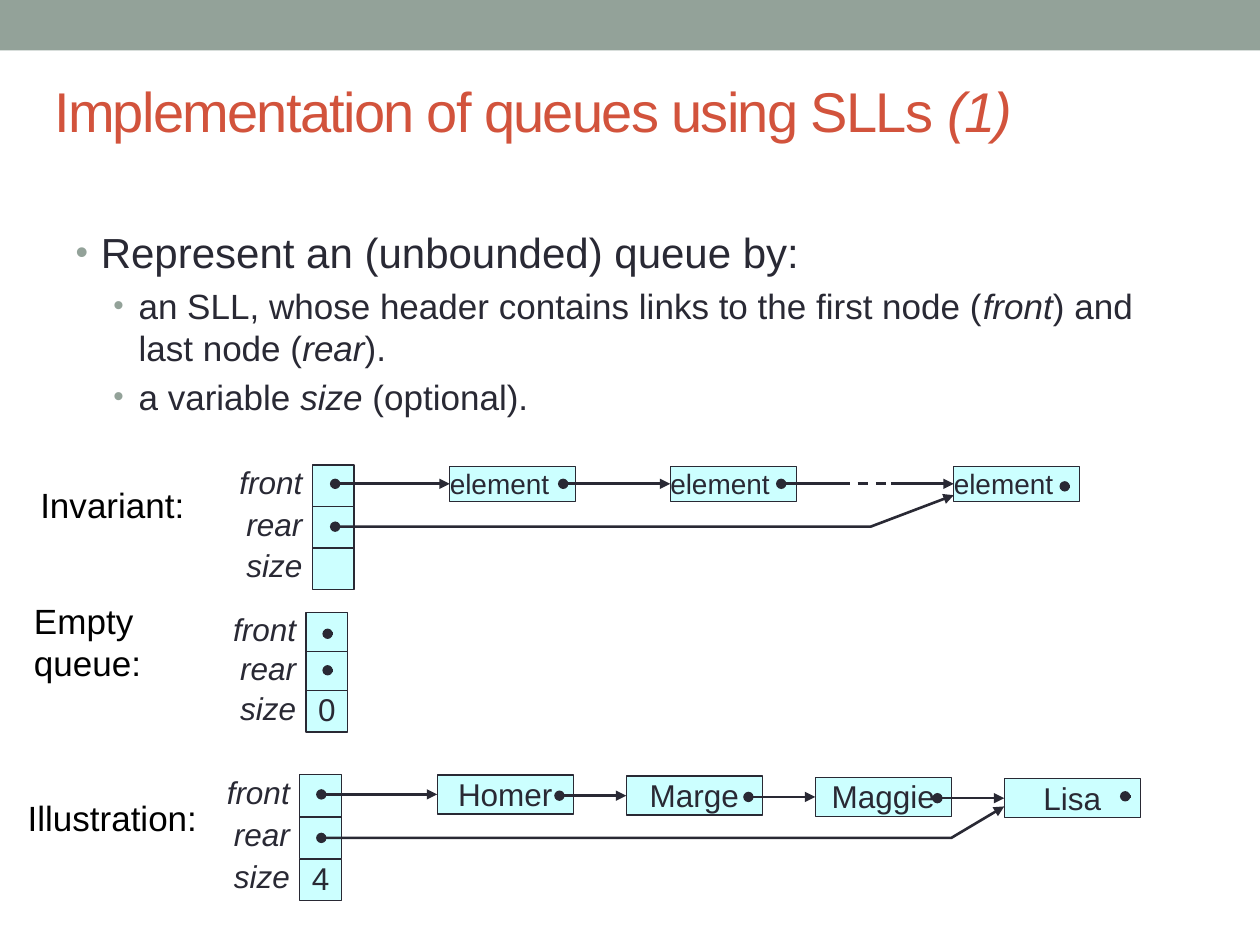
from dataclasses import dataclass

from lxml import etree
from pptx import Presentation
from pptx import util as u
from pptx.dml.color import RGBColor
from pptx.enum import dml, shapes, text
from pptx.oxml.ns import qn

COLUMNS, ROWS = 100, 75


@dataclass(frozen=True)
class Theme:
    """Colours, font and type sizes of the slide."""
    font: str = "Arial"
    bar: str = "93A299"
    title: str = "D2533C"
    ink: str = "292934"
    caption: str = "000000"
    cell: str = "CCFFFF"
    title_size: int = 32
    lead_size: int = 24
    item_size: int = 20
    label_size: int = 18
    element_size: int = 16
    outline: float = 0.75
    arrow: float = 1.5


THEME = Theme()
WIDTH, HEIGHT = u.Inches(10), u.Inches(7.5)


def across(columns):
    """Turn grid columns into a length."""
    return round(WIDTH * columns / COLUMNS)


def down(rows):
    """Turn grid rows into a length."""
    return round(HEIGHT * rows / ROWS)


def area(left, top, width, height):
    """Turn a grid area into left, top, width and height."""
    return across(left), down(top), across(width), down(height)


def place(box, *cells):
    """Move a placeholder to a grid area."""
    box.left, box.top, box.width, box.height = area(*cells)


def add_span(para, words, size, color=THEME.ink, italic=False):
    """Add one formatted run to a paragraph."""
    span = para.add_run()
    span.text = words
    span.font.name = THEME.font
    span.font.size = u.Pt(size)
    span.font.italic = italic
    span.font.color.rgb = RGBColor.from_string(color)
    return span


def write(box, words, size, color=THEME.ink, italic=False, align=text.PP_ALIGN.LEFT):
    """Write one line of text into a box without margins."""
    frame = box.text_frame
    frame.word_wrap = True
    frame.vertical_anchor = text.MSO_ANCHOR.TOP
    frame.margin_left = frame.margin_right = frame.margin_top = frame.margin_bottom = 0
    frame.paragraphs[0].alignment = align
    add_span(frame.paragraphs[0], words, size, color, italic)


def add_label(page, cells, words, size, **style):
    """Add a text box on the grid."""
    write(page.shapes.add_textbox(*area(*cells)), words, size, **style)


def add_box(page, cells, fill=THEME.cell, outlined=True):
    """Add a filled rectangle on the grid."""
    box = page.shapes.add_shape(shapes.MSO_SHAPE.RECTANGLE, *area(*cells))
    box.shadow.inherit = False
    box.fill.solid()
    box.fill.fore_color.rgb = RGBColor.from_string(fill)
    if outlined:
        box.line.color.rgb = RGBColor.from_string(THEME.ink)
        box.line.width = u.Pt(THEME.outline)
    else:
        box.line.fill.background()
    return box


def style_line(line, head=None, tail=None, dash=None):
    """Set the stroke, the ends and the flat look of a line."""
    line.line.color.rgb = RGBColor.from_string(THEME.ink)
    line.line.width = u.Pt(THEME.arrow)
    if dash:
        line.line.dash_style = dash
    properties = line.element.spPr
    for tag, kind in (("a:headEnd", head), ("a:tailEnd", tail)):
        if kind:
            etree.SubElement(properties.find(qn("a:ln")), qn(tag), type=kind)
    if properties.find(qn("a:effectLst")) is None:
        etree.SubElement(properties, qn("a:effectLst"))


def add_line(page, start, end, row, target=None, **ends):
    """Add a level line, joined to the left side of a target node."""
    line = page.shapes.add_connector(
        shapes.MSO_CONNECTOR.STRAIGHT, across(start), down(row), across(end), down(row))
    if target is not None:
        line.end_connect(target, 1)
    style_line(line, **ends)


def add_dot(page, column, row):
    """Add the dot of a null link."""
    add_line(page, column, column + 0.4, row, head="oval")


def add_rear_link(page, *points):
    """Add the bent arrow from the rear cell to the last node."""
    spots = [(across(column), down(row)) for column, row in points]
    builder = page.shapes.build_freeform(*spots[0], scale=1.0)
    builder.add_line_segments(spots[1:], close=False)
    link = builder.convert_to_shape()
    link.shadow.inherit = False
    link.fill.background()
    style_line(link, head="oval", tail="triangle")


def add_header(page, left, top, step, size=None):
    """Add the front, rear and size cells with their labels."""
    for index, name in enumerate(("front", "rear", "size")):
        row = top + index * step
        box = add_box(page, (left, row, 3.3, 3.3))
        if name == "size" and size:
            write(box, size, THEME.label_size, align=text.PP_ALIGN.CENTER)
        add_label(page, (left - 8.7, row - 0.15, 7.9, 3), name, THEME.label_size,
                  italic=True, align=text.PP_ALIGN.RIGHT)


def add_node(page, cells, words, size, align):
    """Add a list node with its element."""
    box = add_box(page, cells)
    write(box, words, size, align=align)
    return box


def add_caption(page, left, top, height, words):
    """Add the caption of a diagram."""
    add_label(page, (left, top, 13.6, height), words, THEME.item_size, color=THEME.caption)


def add_title(page):
    """Fill the title placeholder."""
    title = page.shapes.title
    place(title, 3.3, 2.5, 83.3, 12.5)
    title.text_frame.vertical_anchor = text.MSO_ANCHOR.MIDDLE
    para = title.text_frame.paragraphs[0]
    para.alignment = text.PP_ALIGN.LEFT
    for words, italic in (("Implementation of queues using SLLs ", False), ("(1)", True)):
        span = add_span(para, words, THEME.title_size, THEME.title, italic)
        span.font._element.set("spc", "-100")


def add_list(page):
    """Fill the body placeholder, with every second run in italics."""
    body = page.placeholders[1]
    place(body, 5, 17.5, 90, 53.3)
    frame = body.text_frame
    frame.auto_size = text.MSO_AUTO_SIZE.NONE
    items = (
        (0, ("Represent an (unbounded) queue by:",)),
        (1, ("an SLL, whose header contains links to the first node (", "front",
             ") and last node (", "rear", ").")),
        (1, ("a variable ", "size", " (optional).")),
    )
    for number, (level, spans) in enumerate(items):
        para = frame.add_paragraph() if number else frame.paragraphs[0]
        para.level = level
        properties = para._p.get_or_add_pPr()
        properties.set("marL", str(across(2 + 3 * level)))
        properties.set("indent", str(-across(2)))
        color = etree.SubElement(properties, qn("a:buClr"))
        etree.SubElement(color, qn("a:srgbClr"), val=THEME.bar)
        etree.SubElement(properties, qn("a:buSzPct"), val="85000")
        etree.SubElement(properties, qn("a:buFont"), typeface=THEME.font)
        etree.SubElement(properties, qn("a:buChar"), char="•")
        for index, words in enumerate(spans):
            add_span(para, words, THEME.item_size if level else THEME.lead_size,
                     italic=index % 2 == 1)


def add_invariant(page):
    """Draw the general form of the queue."""
    add_caption(page, 3.2, 38.4, 3.3, "Invariant:")
    add_header(page, 24.8, 36.9, 3.3)
    first, second, last = [
        add_node(page, (left, 37, 10, 2.8), "element", THEME.element_size, text.PP_ALIGN.LEFT)
        for left in (35.7, 53.2, 75.7)]
    row = 38.4
    add_line(page, 26.6, 35.7, row, first, head="oval", tail="triangle")
    add_line(page, 44.7, 53.2, row, second, head="oval", tail="triangle")
    add_line(page, 62, 66.6, row, head="oval")
    add_line(page, 66.6, 70.7, row, dash=dml.MSO_LINE.DASH)
    add_line(page, 70.7, 75.7, row, last, tail="triangle")
    add_dot(page, 84.5, 38.6)
    add_rear_link(page, (26.6, 41.8), (69.1, 41.8), (75.7, 39.3))


def add_empty_queue(page):
    """Draw the queue without nodes."""
    add_caption(page, 2.7, 47.6, 6.7, "Empty queue:")
    add_header(page, 24.3, 48.6, 3.1, "0")
    for row in (50.3, 53.2):
        add_dot(page, 26, row)


def add_illustration(page):
    """Draw a queue of four names."""
    add_caption(page, 2.2, 63.2, 3.3, "Illustration:")
    add_header(page, 23.8, 61.5, 3.35, "4")
    start = 25.5
    for index, name in enumerate(("Homer", "Marge", "Maggie", "Lisa")):
        left, top = 34.7 + 15 * index, 61.5 + 0.1 * index
        node = add_node(page, (left, top, 10.8, 3.1), name, THEME.label_size,
                        text.PP_ALIGN.CENTER)
        add_line(page, start, left, top + 1.55, node, head="oval", tail="triangle")
        start = left + 9.7
    add_dot(page, 89.3, 63.2)
    add_rear_link(page, (25.5, 66.5), (75.5, 66.5), (79.7, 64))


def main():
    """Build the slide and save it."""
    deck = Presentation()
    deck.slide_width, deck.slide_height = WIDTH, HEIGHT
    page = deck.slides.add_slide(deck.slide_layouts[1])
    add_box(page, (0, 0, COLUMNS, 4), THEME.bar, outlined=False)
    add_title(page)
    add_list(page)
    add_invariant(page)
    add_empty_queue(page)
    add_illustration(page)
    deck.save("out.pptx")


if __name__ == "__main__":
    main()
